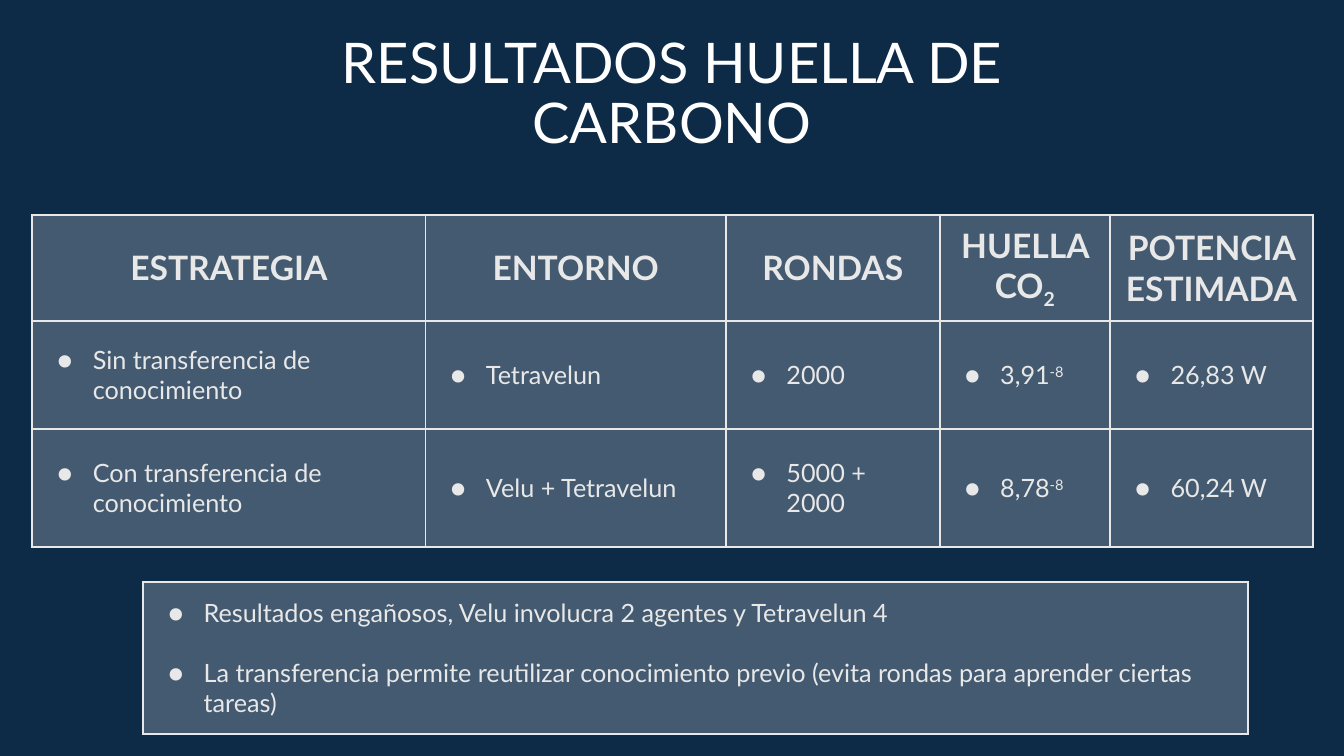
from lxml.etree import SubElement
from pptx import Presentation
from pptx.dml.color import RGBColor
from pptx.enum.text import MSO_ANCHOR, PP_ALIGN
from pptx.oxml.ns import qn
from pptx.util import Inches, Pt

FONT = "Lato"
NAVY, WHITE, PALE, VEIL = "0D2B47", "FFFFFF", "E8E8E8", "F3F3F3"
VEIL_OPACITY = 24000
BORDER_WIDTH = Pt(1.5)
SUBSCRIPT, SUPERSCRIPT = -25000, 30000

TITLE = "RESULTADOS HUELLA DE CARBONO"
# A run is plain text or a (text, baseline shift) pair; a paragraph is a list of runs.
HEADINGS = [["ESTRATEGIA"], ["ENTORNO"], ["RONDAS"],
            ["HUELLA CO", ("2", SUBSCRIPT)], ["POTENCIA ESTIMADA"]]
STRATEGIES = [
    [["Sin transferencia de conocimiento"], ["Tetravelun"], ["2000"],
     ["3,91", ("-8", SUPERSCRIPT)], ["26,83 W"]],
    [["Con transferencia de conocimiento"], ["Velu + Tetravelun"], ["5000 + 2000"],
     ["8,78", ("-8", SUPERSCRIPT)], ["60,24 W"]],
]
CONCLUSIONS = [
    ["Resultados engañosos, Velu involucra 2 agentes y Tetravelun 4"],
    ["La transferencia permite reutilizar conocimiento previo "
     "(evita rondas para aprender ciertas tareas)"],
]
RESULT_COLUMNS = [3.9, 2.98, 2.12, 1.69, 2.01]
RESULT_ROWS = [1.05, 1.07, 1.17]


def color(hex_code):
    return RGBColor.from_string(hex_code)


def add_run(paragraph, text, size, hex_code, bold=False, baseline=0):
    run = paragraph.add_run()
    run.text = text
    run.font.name = FONT
    run.font.size = Pt(size)
    run.font.bold = bold
    run.font.color.rgb = color(hex_code)
    if baseline:
        run.font._element.set("baseline", str(baseline))


def add_bullet(paragraph):
    properties = paragraph._p.get_or_add_pPr()
    properties.set("marL", str(Inches(0.5)))
    properties.set("indent", str(Inches(-0.35)))
    bullet_color = SubElement(properties, qn("a:buClr"))
    SubElement(bullet_color, qn("a:srgbClr"), val=PALE)
    SubElement(properties, qn("a:buFont"), typeface=FONT)
    SubElement(properties, qn("a:buChar"), char="●")


def style_cell(cell):
    """Give the cell its margins, translucent fill and four borders."""
    cell.vertical_anchor = MSO_ANCHOR.MIDDLE
    cell.margin_left = cell.margin_right = Inches(0.1)
    cell.margin_top = cell.margin_bottom = Inches(0.1)
    cell.fill.solid()
    cell.fill.fore_color.rgb = color(VEIL)
    properties = cell._tc.get_or_add_tcPr()
    veil = properties.find(".//" + qn("a:srgbClr"))
    SubElement(veil, qn("a:alpha"), val=str(VEIL_OPACITY))
    for order, side in enumerate(("lnL", "lnR", "lnT", "lnB")):
        border = SubElement(properties, qn("a:" + side), w=str(BORDER_WIDTH))
        border_fill = SubElement(border, qn("a:solidFill"))
        SubElement(border_fill, qn("a:srgbClr"), val=PALE)
        properties.insert(order, border)


def fill_cell(cell, paragraphs, heading=False):
    style_cell(cell)
    for index, runs in enumerate(paragraphs):
        frame = cell.text_frame
        paragraph = frame.add_paragraph() if index else frame.paragraphs[0]
        if index < len(paragraphs) - 1:
            paragraph.space_after = Pt(21.6)
        if heading:
            paragraph.alignment = PP_ALIGN.CENTER
        else:
            add_bullet(paragraph)
        for run in runs:
            text, baseline = (run, 0) if isinstance(run, str) else run
            add_run(paragraph, text, 24 if heading else 18, PALE, heading, baseline)


def add_plain_table(slide, left, top, widths, heights):
    table = slide.shapes.add_table(
        len(heights), len(widths), Inches(left), Inches(top),
        Inches(sum(widths)), Inches(sum(heights))).table
    table.first_row = table.horz_banding = False
    for column, width in zip(table.columns, widths):
        column.width = Inches(width)
    for row, height in zip(table.rows, heights):
        row.height = Inches(height)
    return table


def main():
    deck = Presentation()
    deck.slide_width, deck.slide_height = Inches(13.33), Inches(7.5)
    slide = deck.slides.add_slide(deck.slide_layouts[6])
    slide.background.fill.solid()
    slide.background.fill.fore_color.rgb = color(NAVY)

    title = slide.shapes.add_textbox(
        Inches(2.23), Inches(0.22), Inches(8.87), Inches(1.45)).text_frame
    title.word_wrap = True
    title.vertical_anchor = MSO_ANCHOR.MIDDLE
    title.paragraphs[0].alignment = PP_ALIGN.CENTER
    title.paragraphs[0].line_spacing = 0.9
    add_run(title.paragraphs[0], TITLE, 40, WHITE)

    results = add_plain_table(slide, 0.32, 2.13, RESULT_COLUMNS, RESULT_ROWS)
    for row, entries in enumerate([HEADINGS, *STRATEGIES]):
        for column, runs in enumerate(entries):
            fill_cell(results.cell(row, column), [runs], heading=row == 0)

    conclusions = add_plain_table(slide, 1.42, 5.77, [10.96], [1.51])
    fill_cell(conclusions.cell(0, 0), CONCLUSIONS)

    deck.save("out.pptx")


if __name__ == "__main__":
    main()
